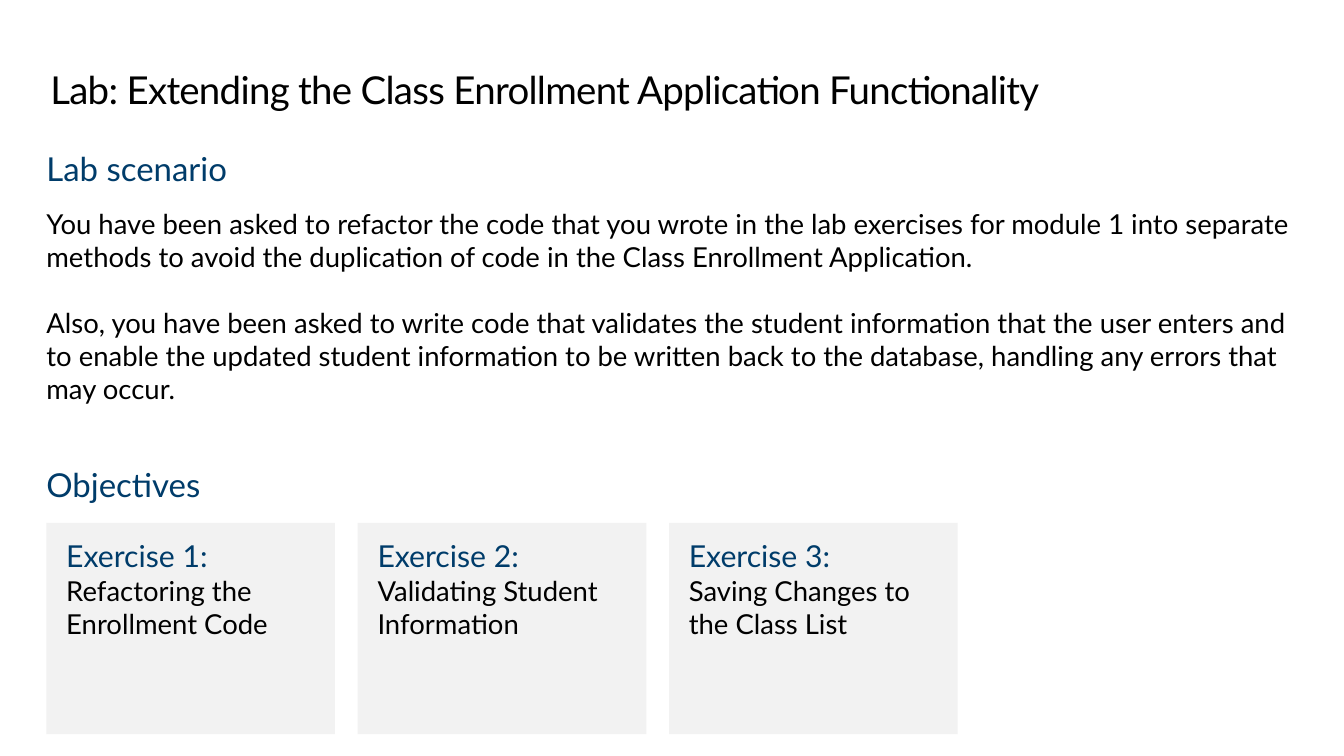
from pptx import Presentation
from pptx.dml.color import RGBColor
from pptx.enum.shapes import MSO_SHAPE
from pptx.enum.text import MSO_ANCHOR, PP_ALIGN
from pptx.util import Inches, Pt

FONT = "Lato"
NAVY = RGBColor(0x00, 0x3C, 0x6A)
BLACK = RGBColor(0x00, 0x00, 0x00)
LIGHT_GRAY = RGBColor(0xF2, 0xF2, 0xF2)

LEFT = 0.47
BODY_WIDTH = 12.67
CARD_TOP, CARD_WIDTH, CARD_HEIGHT, CARD_GAP = 5.29, 2.92, 2.14, 0.23

SCENARIO = [
    "You have been asked to refactor the code that you wrote in the lab exercises "
    "for module 1 into separate methods to avoid the duplication of code in the "
    "Class Enrollment Application.",
    "Also, you have been asked to write code that validates the student information "
    "that the user enters and to enable the updated student information to be written "
    "back to the database, handling any errors that may occur.",
]
EXERCISES = [
    "Refactoring the Enrollment Code",
    "Validating Student Information",
    "Saving Changes to the Class List",
]


def add_text(tf, text, size=20, color=BLACK, after=0, line=None, tracking=None):
    p = tf.paragraphs[0]
    if p.runs:
        p = tf.add_paragraph()
    p.alignment = PP_ALIGN.LEFT
    p.space_after = Pt(after)
    if line:
        p.line_spacing = Pt(line)
    r = p.add_run()
    r.text = text
    r.font.name = FONT
    r.font.size = Pt(size)
    r.font.color.rgb = color
    if tracking:
        r.font._element.set("spc", str(round(tracking * 100)))


def set_frame(sp, x_inset=0, y_inset=0):
    tf = sp.text_frame
    tf.word_wrap = True
    tf.vertical_anchor = MSO_ANCHOR.TOP
    tf.margin_left = tf.margin_right = Inches(x_inset)
    tf.margin_top = tf.margin_bottom = Inches(y_inset)
    return tf


def add_box(s, left, top, width, height):
    return set_frame(s.shapes.add_textbox(
        Inches(left), Inches(top), Inches(width), Inches(height)))


def add_card(s, left, heading, text):
    sp = s.shapes.add_shape(
        MSO_SHAPE.RECTANGLE, Inches(left), Inches(CARD_TOP),
        Inches(CARD_WIDTH), Inches(CARD_HEIGHT))
    sp.shadow.inherit = False
    sp.fill.solid()
    sp.fill.fore_color.rgb = LIGHT_GRAY
    sp.line.fill.background()
    tf = set_frame(sp, 0.2, 0.15)
    add_text(tf, heading, size=22, color=NAVY)
    add_text(tf, text)


def main():
    prs = Presentation()
    prs.slide_width, prs.slide_height = Inches(13.6), Inches(7.65)
    s = prs.slides.add_slide(prs.slide_layouts[6])

    title = add_box(s, 0.51, 0.69, 12.61, 0.45)
    add_text(title, "Lab: Extending the Class Enrollment Application Functionality",
             size=28, line=32, tracking=-0.5)

    scenario = add_box(s, LEFT, 1.5, BODY_WIDTH, 3.6)
    add_text(scenario, "Lab scenario", size=24, color=NAVY, after=14.4)
    for text in SCENARIO:
        add_text(scenario, text, after=24)

    objectives = add_box(s, LEFT, 4.7, BODY_WIDTH, 0.4)
    add_text(objectives, "Objectives", size=24, color=NAVY)

    for i, text in enumerate(EXERCISES):
        add_card(s, LEFT + i * (CARD_WIDTH + CARD_GAP), f"Exercise {i + 1}:", text)

    prs.save("out.pptx")


main()
